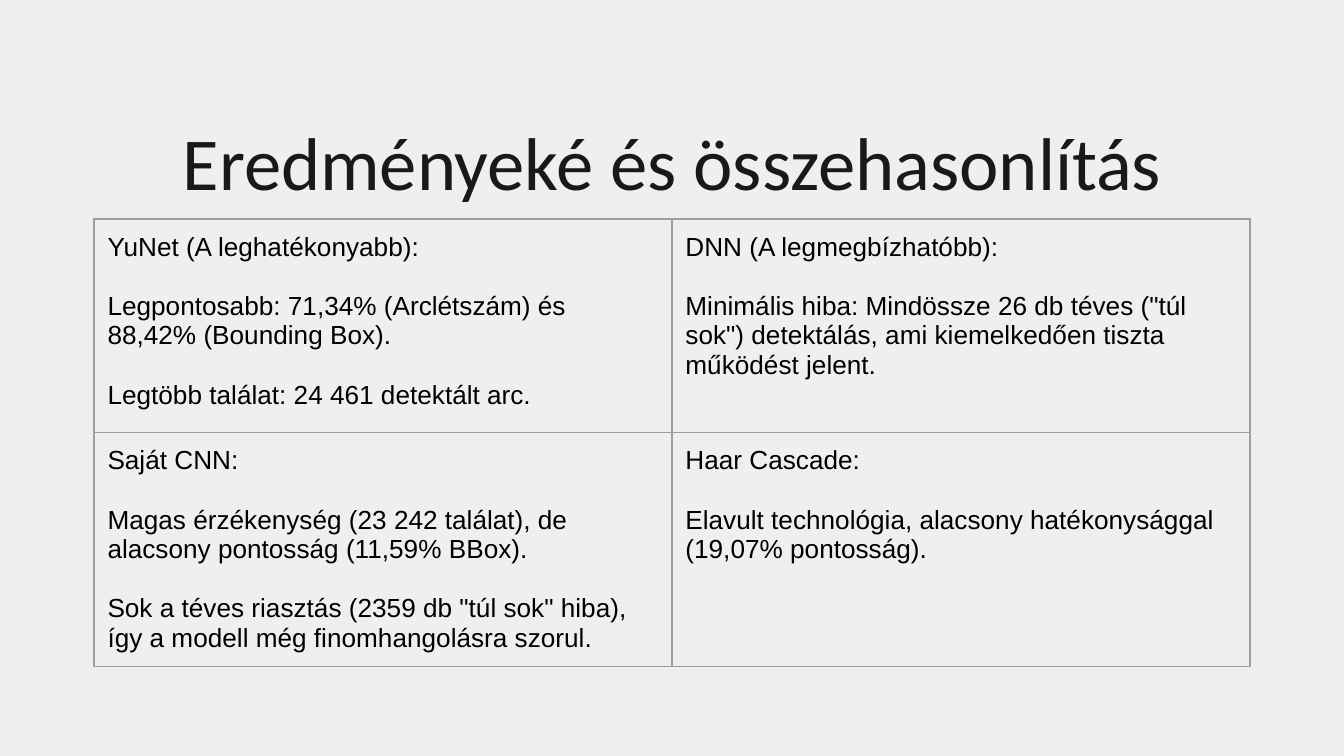
from lxml.etree import SubElement
from pptx import Presentation
from pptx.dml.color import RGBColor
from pptx.enum.text import MSO_ANCHOR, MSO_AUTO_SIZE, PP_ALIGN
from pptx.oxml.ns import qn
from pptx.util import Inches, Pt

BACKGROUND = RGBColor(0xEF, 0xEF, 0xEF)
TITLE_COLOR = RGBColor(0x19, 0x19, 0x19)
TEXT_COLOR = RGBColor(0x00, 0x00, 0x00)
BORDER_COLOR = RGBColor(0x9E, 0x9E, 0x9E)
INSET = Inches(0.1)

DETECTORS = [
    [
        [
            "YuNet (A leghatékonyabb):",
            "Legpontosabb: 71,34% (Arclétszám) és 88,42% (Bounding Box).",
            "Legtöbb találat: 24 461 detektált arc.",
        ],
        [
            "DNN (A legmegbízhatóbb):",
            'Minimális hiba: Mindössze 26 db téves ("túl sok") detektálás, '
            "ami kiemelkedően tiszta működést jelent.",
        ],
    ],
    [
        [
            "Saját CNN:",
            "Magas érzékenység (23 242 találat), de alacsony pontosság (11,59% BBox).",
            'Sok a téves riasztás (2359 db "túl sok" hiba), '
            "így a modell még finomhangolásra szorul.",
        ],
        [
            "Haar Cascade:",
            "Elavult technológia, alacsony hatékonysággal (19,07% pontosság).",
        ],
    ],
]


def set_insets(holder):
    """Give a cell or text frame the same margin on every side."""
    holder.margin_left = holder.margin_right = INSET
    holder.margin_top = holder.margin_bottom = INSET


def style_font(font, name, size, color):
    """Set typeface, size and colour of a font."""
    font.name = name
    font.size = Pt(size)
    font.color.rgb = color


def add_borders(cell):
    """Draw a thin grey line on all four sides of a cell."""
    properties = cell._tc.get_or_add_tcPr()
    for position, side in enumerate(("a:lnL", "a:lnR", "a:lnT", "a:lnB")):
        line = SubElement(properties, qn(side), w=str(Pt(0.75)))
        fill = SubElement(line, qn("a:solidFill"))
        SubElement(fill, qn("a:srgbClr"), val=str(BORDER_COLOR))
        properties.insert(position, line)


def fill_cell(cell, statements):
    """Write the statements about one detector, a line apart."""
    set_insets(cell)
    cell.vertical_anchor = MSO_ANCHOR.TOP
    cell.fill.background()
    add_borders(cell)
    frame = cell.text_frame
    for index, statement in enumerate(statements):
        paragraph = frame.add_paragraph() if index else frame.paragraphs[0]
        paragraph.text = statement
        if index:
            paragraph.space_before = Pt(16)
        style_font(paragraph.font, "Arial", 14, TEXT_COLOR)


def place_title(title, left, top, width, height):
    """Place and format the slide title."""
    title.left, title.top, title.width, title.height = left, top, width, height
    frame = title.text_frame
    frame.text = "Eredményeké és összehasonlítás"
    frame.auto_size = MSO_AUTO_SIZE.NONE
    frame.word_wrap = True
    frame.vertical_anchor = MSO_ANCHOR.TOP
    set_insets(frame)
    heading = frame.paragraphs[0]
    heading.alignment = PP_ALIGN.CENTER
    style_font(heading.font, "Calibri", 40, TITLE_COLOR)


def add_comparison(slide, left, top, width, row_heights):
    """Add the table that compares the detectors."""
    comparison = slide.shapes.add_table(
        len(DETECTORS), len(DETECTORS[0]), left, top, width, sum(row_heights)
    ).table
    comparison.first_row = False
    comparison.horz_banding = False
    for row, height in zip(comparison.rows, row_heights):
        row.height = height
    for row, detectors in zip(comparison.rows, DETECTORS):
        for cell, statements in zip(row.cells, detectors):
            fill_cell(cell, statements)


def main():
    """Build and save the results slide."""
    presentation = Presentation()
    presentation.slide_width = Inches(10)
    presentation.slide_height = presentation.slide_width * 9 // 16
    slide = presentation.slides.add_slide(presentation.slide_layouts[5])
    slide.background.fill.solid()
    slide.background.fill.fore_color.rgb = BACKGROUND
    place_title(
        slide.shapes.title, Inches(0.21), Inches(0.76), Inches(9.58), Inches(0.76)
    )
    add_comparison(
        slide, Inches(0.7), Inches(1.63), Inches(8.6), (Inches(1.59), Inches(1.72))
    )
    presentation.save("out.pptx")


if __name__ == "__main__":
    main()
